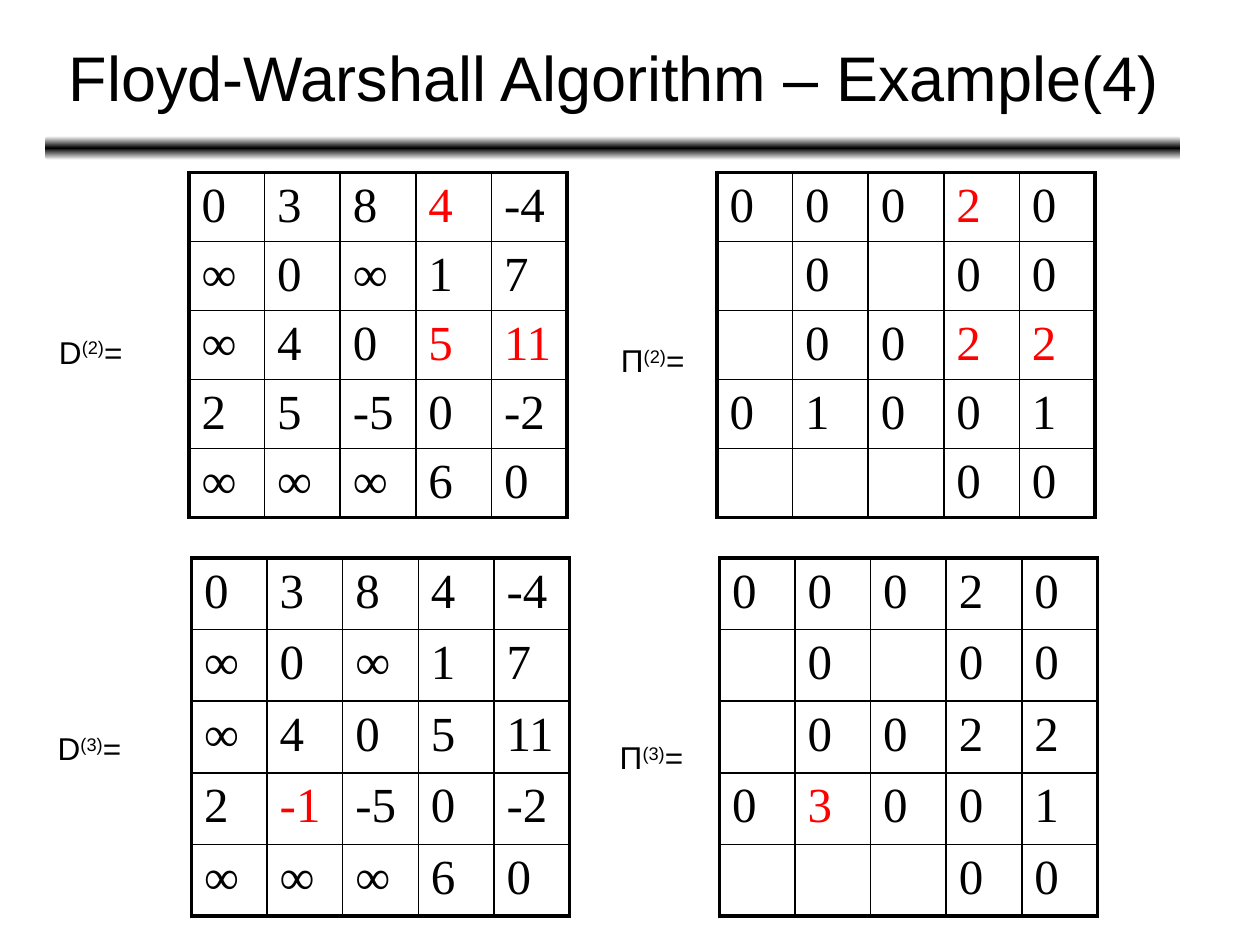
from dataclasses import dataclass

from lxml.etree import SubElement
from pptx import Presentation
from pptx.dml.color import RGBColor
from pptx.enum.shapes import MSO_SHAPE
from pptx.enum.text import MSO_ANCHOR, PP_ALIGN
from pptx.oxml import parse_xml
from pptx.oxml.ns import qn
from pptx.util import Inches, Pt

BLACK = RGBColor(0, 0, 0)
WHITE = RGBColor(255, 255, 255)
RED = RGBColor(255, 0, 0)
NS = "http://schemas.openxmlformats.org/drawingml/2006/main"
SIZE = 5
COL = 0.6
THIN, THICK = 1, 2.25


@dataclass
class Matrix:
    """One matrix; a star after a value marks it red, a dot is empty."""
    name: str
    step: int
    left: float
    top: float
    high: float
    tag: tuple[float, float, float]
    rows: tuple[str, ...]


MATS = [
    Matrix("D", 2, 1.5, 1.37, 2.66, (0.37, 2.59, 0.84),
           ("0 3 8 4* -4", "∞ 0 ∞ 1 7", "∞ 4 0 5* 11*", "2 5 -5 0 -2", "∞ ∞ ∞ 6 0")),
    Matrix("Π", 2, 5.69, 1.37, 2.66, (4.83, 2.66, 0.89),
           ("0 0 0 2* 0", ". 0 . 0 0", ". 0 0 2* 2*", "0 1 0 0 1", ". . . 0 0")),
    Matrix("D", 3, 1.52, 4.43, 2.84, (0.36, 5.74, 0.84),
           ("0 3 8 4 -4", "∞ 0 ∞ 1 7", "∞ 4 0 5 11", "2 -1* -5 0 -2", "∞ ∞ ∞ 6 0")),
    Matrix("Π", 3, 5.71, 4.43, 2.84, (4.82, 5.81, 0.89),
           ("0 0 0 2 0", ". 0 . 0 0", ". 0 0 2 2", "0 3* 0 0 1", ". . . 0 0")),
]


def write(para, text: str, *, size: float = 18, font: str = "Arial",
          color: RGBColor = BLACK, lift: int = 0) -> None:
    """Add a formatted run to a paragraph; lift is a percentage."""
    run = para.add_run()
    run.text = text
    run.font.size = Pt(size)
    run.font.name = font
    run.font.color.rgb = color
    if lift:
        run._r.get_or_add_rPr().set("baseline", str(lift * 1000))


def add_box(slide, left: float, top: float, wide: float, high: float):
    """Add a wrapping text box and return its frame."""
    box = slide.shapes.add_textbox(*map(Inches, (left, top, wide, high)))
    box.text_frame.word_wrap = True
    return box.text_frame


def add_bar(slide) -> None:
    """Draw the bar that fades from black to white above and below."""
    bar = slide.shapes.add_shape(MSO_SHAPE.ROUNDED_RECTANGLE,
                                 *map(Inches, (0.36, 1.08, 9.01, 0.19)))
    bar.shadow.inherit = False
    bar.line.fill.background()
    bar.fill.gradient()
    bar.fill.gradient_angle = 90
    stops = bar._element.spPr.find(qn("a:gradFill")).find(qn("a:gsLst"))
    for stop in list(stops):
        stops.remove(stop)
    for pos, color in ((0, WHITE), (50, BLACK), (100, WHITE)):
        stop = SubElement(stops, qn("a:gs"), pos=str(pos * 1000))
        SubElement(stop, qn("a:srgbClr"), val=str(color))


def edge(cell, row: int, col: int) -> None:
    """Draw the cell borders, thick along the rim of the matrix."""
    rims = {"L": col == 0, "R": col == SIZE - 1,
            "T": row == 0, "B": row == SIZE - 1}
    props = cell._tc.get_or_add_tcPr()
    for spot, (side, rim) in enumerate(rims.items()):
        width = Pt(THICK if rim else THIN)
        props.insert(spot, parse_xml(
            f'<a:ln{side} xmlns:a="{NS}" w="{width}"><a:solidFill>'
            f'<a:srgbClr val="{BLACK}"/></a:solidFill></a:ln{side}>'))


def add_grid(slide, mat: Matrix) -> None:
    """Draw a matrix as a table."""
    area = map(Inches, (mat.left, mat.top, COL * SIZE, mat.high))
    table = slide.shapes.add_table(SIZE, SIZE, *area).table
    table.first_row = table.horz_banding = False
    for row, line in enumerate(mat.rows):
        table.rows[row].height = Inches(mat.high / SIZE)
        for col, mark in enumerate(line.split()):
            cell = table.cell(row, col)
            cell.fill.background()
            cell.margin_top, cell.margin_bottom = Inches(0.05), Inches(0.03)
            edge(cell, row, col)
            if mark != ".":
                write(cell.text_frame.paragraphs[0], mark.rstrip("*"), size=28,
                      font="Times New Roman",
                      color=RED if mark.endswith("*") else BLACK)


def add_tag(slide, mat: Matrix) -> None:
    """Write the name of a matrix with its raised step."""
    para = add_box(slide, *mat.tag, 0.4).paragraphs[0]
    write(para, mat.name)
    write(para, f"({mat.step})", lift=30)
    write(para, "=")


def main() -> None:
    """Build and save the slide."""
    deck = Presentation()
    deck.slide_width, deck.slide_height = Inches(10), Inches(7.5)
    slide = deck.slides.add_slide(deck.slide_layouts[6])
    add_bar(slide)
    title = add_box(slide, 0.37, 0.11, 9, 0.99)
    title.vertical_anchor = MSO_ANCHOR.MIDDLE
    title.paragraphs[0].alignment = PP_ALIGN.CENTER
    write(title.paragraphs[0], "Floyd-Warshall Algorithm – Example(4)", size=36)
    for mat in MATS:
        add_grid(slide, mat)
        add_tag(slide, mat)
    deck.save("out.pptx")


main()
